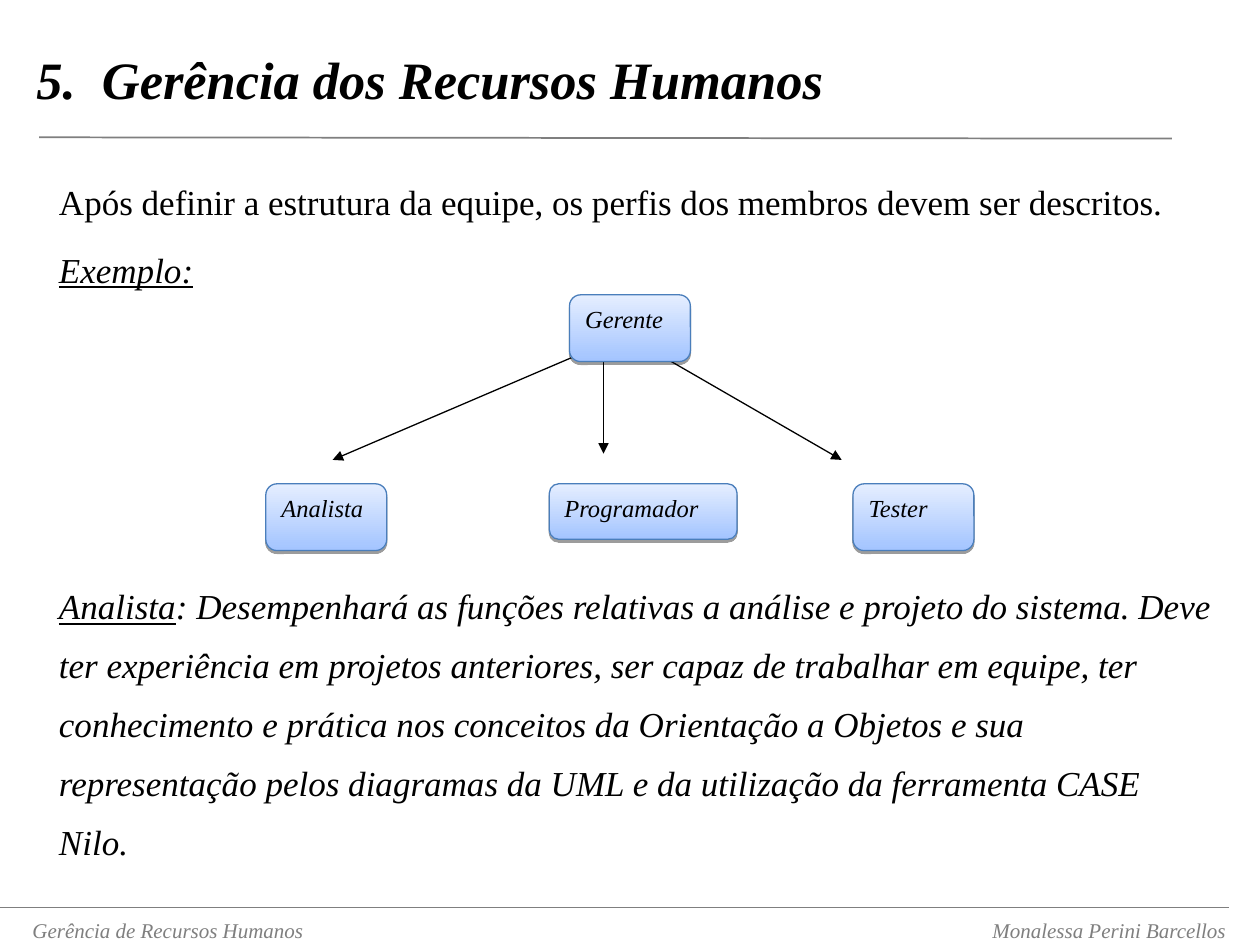
from lxml import etree
from pptx import Presentation
from pptx.dml.color import RGBColor
from pptx.enum.shapes import MSO_CONNECTOR, MSO_SHAPE
from pptx.enum.text import MSO_ANCHOR, PP_ALIGN
from pptx.oxml.ns import qn
from pptx.util import Inches, Pt

STRAIGHT = MSO_CONNECTOR.STRAIGHT
ROUNDED = MSO_SHAPE.FLOWCHART_ALTERNATE_PROCESS
TOP, MIDDLE = MSO_ANCHOR.TOP, MSO_ANCHOR.MIDDLE
LEFT, RIGHT = PP_ALIGN.LEFT, PP_ALIGN.RIGHT

BLACK = RGBColor(0x00, 0x00, 0x00)
GRAY = RGBColor(0x7F, 0x7F, 0x7F)
BLUE = RGBColor(0x4A, 0x7E, 0xBB)
PALE_BLUE = RGBColor(0xE5, 0xEE, 0xFF)
SOFT_BLUE = RGBColor(0xA3, 0xC4, 0xFF)
FONT = "Times New Roman"

WIDTH, HEIGHT = 10, 7.5
BODY_LEFT, BODY_WIDTH = 0.37, 9.4
BODY_SPACING = 1.4
FOOTER_TOP, FOOTER_HEIGHT = 7.23, 0.27
ROLE_WIDTH, ROLE_HEIGHT = 0.96, 0.53
TEAM_TOP, ARROW_TOP = 3.84, 2.79

TITLE = "5.  Gerência dos Recursos Humanos"
INTRO = [
    [("Após definir a estrutura da equipe, os perfis dos membros devem ser descritos.", {})],
    [("Exemplo:", {"italic": True, "underline": True})],
]
PROFILE = [[
    ("Analista", {"italic": True, "underline": True}),
    (": Desempenhará as funções relativas a análise e projeto do sistema. Deve ter "
     "experiência em projetos anteriores, ser capaz de trabalhar em equipe, ter "
     "conhecimento e prática nos conceitos da Orientação a Objetos e sua representação "
     "pelos diagramas da UML e da utilização da ferramenta CASE Nilo.", {"italic": True}),
]]
FOOTER = [("Gerência de Recursos Humanos", 0.16, LEFT),
          ("Monalessa Perini Barcellos", 5.83, RIGHT)]
ROLES = [
    ("Gerente", 4.52, 2.34, ROLE_WIDTH, ROLE_HEIGHT),
    ("Analista", 2.11, TEAM_TOP, ROLE_WIDTH, ROLE_HEIGHT),
    ("Programador", 4.36, TEAM_TOP, 1.49, 0.44),
    ("Tester", 6.77, TEAM_TOP, ROLE_WIDTH, ROLE_HEIGHT),
]
ARROWS = [(4.65, 2.64, 3.65), (4.79, 4.79, 3.6), (5.19, 6.68, 3.65)]
RULES = [(0.31, 1.09, 9.3, 1.1, 1), (0, 7.2, 9.75, 7.2, 0.75)]


def write(shape, paragraphs, size, color=BLACK, bold=False, italic=False,
          align=LEFT, anchor=TOP, line_spacing=None, space_before=0):
    """Fill a shape with paragraphs, each a string or a list of formatted runs."""
    frame = shape.text_frame
    frame.word_wrap = True
    frame.vertical_anchor = anchor
    for index, content in enumerate(paragraphs):
        paragraph = frame.paragraphs[0] if index == 0 else frame.add_paragraph()
        paragraph.alignment = align
        if line_spacing:
            paragraph.line_spacing = line_spacing
        if index:
            paragraph.space_before = Pt(space_before)
        runs = [(content, {})] if isinstance(content, str) else content
        for text, style in runs:
            run = paragraph.add_run()
            run.text = text
            font = run.font
            font.name, font.size, font.bold = FONT, Pt(size), bold
            font.italic = style.get("italic", italic)
            font.underline = style.get("underline", False)
            font.color.rgb = color


def add_text(slide, box, paragraphs, size, **style):
    """Add a text box at the given left, top, width and height."""
    shape = slide.shapes.add_textbox(*map(Inches, box))
    write(shape, paragraphs, size, **style)


def add_line(slide, ends, width, color, arrow=False):
    """Draw a straight line, with an arrowhead at its end if wanted."""
    connector = slide.shapes.add_connector(STRAIGHT, *map(Inches, ends))
    connector.line.color.rgb = color
    connector.line.width = Pt(width)
    if arrow:
        head = etree.SubElement(connector.line._get_or_add_ln(), qn("a:tailEnd"))
        head.set("type", "triangle")
    etree.SubElement(connector._element.spPr, qn("a:effectLst"))


def add_role(slide, name, *box):
    """Draw a role as a rounded box with a gradient and a soft shadow."""
    shape = slide.shapes.add_shape(ROUNDED, *map(Inches, box))
    shape.fill.gradient()
    shape.fill.gradient_angle = 270
    for stop, position, color in zip(shape.fill.gradient_stops, (0, 1), (PALE_BLUE, SOFT_BLUE)):
        stop.position = position
        stop.color.rgb = color
    shape.line.color.rgb = BLUE
    shape.line.width = Pt(0.75)
    shape.shadow.inherit = False
    effects = shape._element.spPr.find(qn("a:effectLst"))
    shadow = etree.SubElement(effects, qn("a:outerShdw"), blurRad="0", dist=str(Pt(1.6)),
                              dir="5400000", rotWithShape="0")
    shade = etree.SubElement(shadow, qn("a:srgbClr"), val=str(BLACK))
    etree.SubElement(shade, qn("a:alpha"), val="38000")
    write(shape, [name], 14, italic=True)


def main():
    """Build the slide and save it."""
    presentation = Presentation()
    presentation.slide_width, presentation.slide_height = Inches(WIDTH), Inches(HEIGHT)
    slide = presentation.slides.add_slide(presentation.slide_layouts[6])

    for top, height, paragraphs in ((1.25, 1.08, INTRO), (4.46, 2.45, PROFILE)):
        add_text(slide, (BODY_LEFT, top, BODY_WIDTH, height), paragraphs, 20,
                 line_spacing=BODY_SPACING, space_before=5)
    for start, end, bottom in ARROWS:
        add_line(slide, (start, ARROW_TOP, end, bottom), 0.75, BLACK, arrow=True)
    for role in ROLES:
        add_role(slide, *role)

    add_text(slide, (0.19, 0, WIDTH - 0.19, 1.25), [TITLE], 30,
             bold=True, italic=True, anchor=MIDDLE)
    for *ends, width in RULES:
        add_line(slide, ends, width, GRAY)
    for text, left, align in FOOTER:
        add_text(slide, (left, FOOTER_TOP, 4, FOOTER_HEIGHT), [text], 12,
                 color=GRAY, italic=True, align=align)

    presentation.save("out.pptx")


if __name__ == "__main__":
    main()
